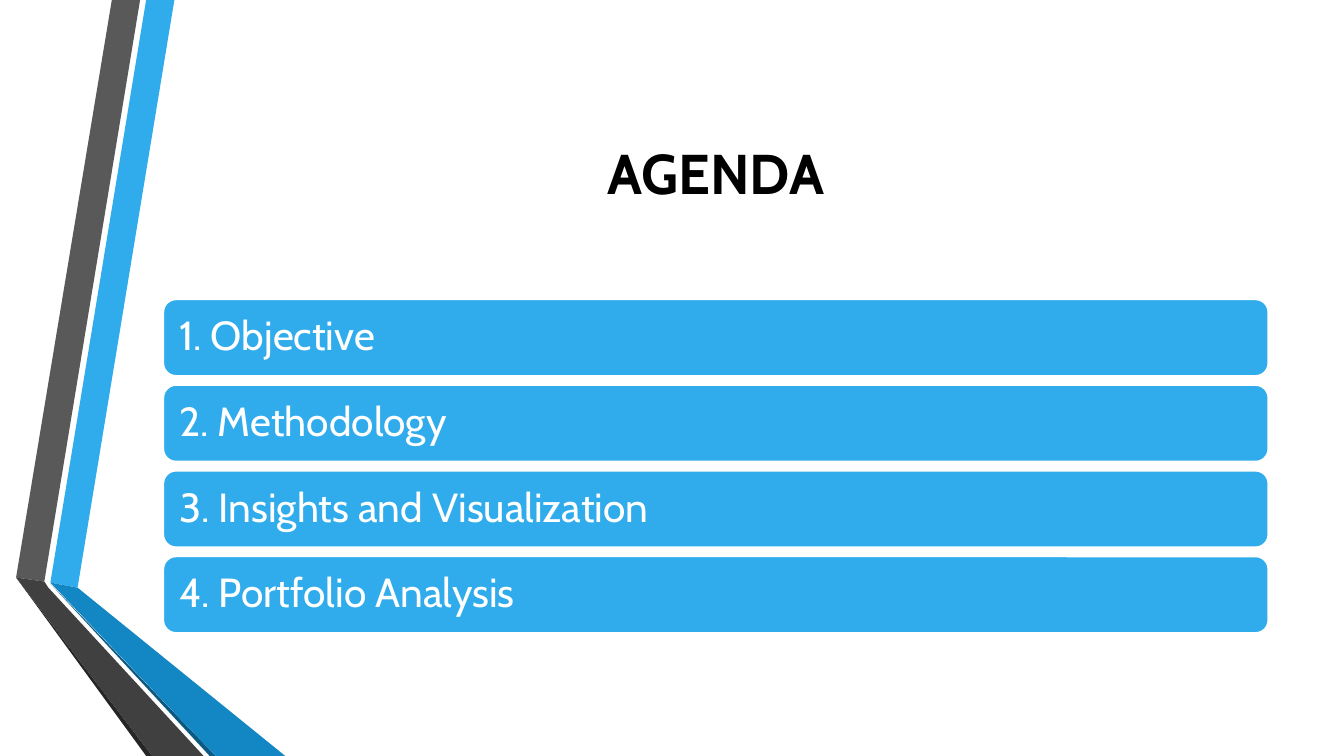
from pptx import Presentation
from pptx.dml.color import RGBColor
from pptx.enum.shapes import MSO_SHAPE
from pptx.enum.text import MSO_ANCHOR, PP_ALIGN
from pptx.util import Inches, Pt

FONT = "Cabin"
WHITE = RGBColor(0xFF, 0xFF, 0xFF)
BLACK = RGBColor(0x00, 0x00, 0x00)
BLUE = RGBColor(0x30, 0xAC, 0xEC)
BLUE_FOLD = RGBColor(0x12, 0x87, 0xC3)
BLUE_EDGE = RGBColor(0x0C, 0x5A, 0x82)
GRAY = RGBColor(0x59, 0x59, 0x59)
GRAY_FOLD = RGBColor(0x40, 0x40, 0x40)
GRAY_EDGE = RGBColor(0x26, 0x26, 0x26)

RIBBON_FACES = [
    (BLUE, [(0.34, 5.78), (0.61, 5.83), (1.57, 0), (1.29, 0)]),
    (GRAY, [(1.23, 0), (0.95, 0), (0, 5.73), (0.28, 5.77)]),
    (GRAY_EDGE, [(0, 5.73), (1.29, 7.5), (1.35, 7.5)]),
    (BLUE_EDGE, [(0.34, 5.79), (1.92, 7.5), (1.98, 7.5)]),
    (BLUE_FOLD, [(0.34, 5.78), (1.98, 7.5), (2.67, 7.5), (0.61, 5.83)]),
    (GRAY_FOLD, [(1.86, 7.5), (0.32, 5.83), (0.28, 5.77), (0, 5.73), (1.35, 7.5)]),
]
AGENDA_ITEMS = [
    "1. Objective",
    "2. Methodology",
    "3. Insights and Visualization",
    "4. Portfolio Analysis",
]


def add_run(paragraph, wording, size, color, bold=False):
    """Append a styled run to the paragraph."""
    run = paragraph.add_run()
    run.text = wording
    run.font.name = FONT
    run.font.size = Pt(size)
    run.font.color.rgb = color
    run.font.bold = bold


def add_ribbons(slide, left, top):
    """Draw the two folded ribbons from the given corner."""
    for color, outline in RIBBON_FACES:
        corners = [(Inches(left + x), Inches(top + y)) for x, y in outline]
        builder = slide.shapes.build_freeform(*corners[0])
        builder.add_line_segments(corners[1:], close=True)
        face = builder.convert_to_shape()
        face.shadow.inherit = False
        face.fill.solid()
        face.fill.fore_color.rgb = color
        face.line.fill.background()


def add_heading(slide, left, top, width, height):
    """Place the centred heading in its box."""
    heading = slide.shapes.add_textbox(
        Inches(left), Inches(top), Inches(width), Inches(height)
    )
    frame = heading.text_frame
    frame.word_wrap = True
    frame.vertical_anchor = MSO_ANCHOR.MIDDLE
    frame.paragraphs[0].alignment = PP_ALIGN.CENTER
    add_run(frame.paragraphs[0], "AGENDA", 40, BLACK, bold=True)


def add_agenda(slide, left, top, width, height, gap=0.09):
    """Stack one rounded bar per agenda item, filling the box."""
    count = len(AGENDA_ITEMS)
    bar_height = (height - gap * (count - 1)) / count
    for index, item in enumerate(AGENDA_ITEMS):
        bar = slide.shapes.add_shape(
            MSO_SHAPE.ROUNDED_RECTANGLE,
            Inches(left),
            Inches(top + index * (bar_height + gap)),
            Inches(width),
            Inches(bar_height),
        )
        bar.shadow.inherit = False
        bar.fill.solid()
        bar.fill.fore_color.rgb = BLUE
        bar.line.color.rgb = WHITE
        bar.line.width = Pt(1.25)
        frame = bar.text_frame
        frame.word_wrap = True
        frame.vertical_anchor = MSO_ANCHOR.MIDDLE
        frame.margin_left = frame.margin_right = Inches(0.12)
        frame.margin_top = frame.margin_bottom = Inches(0.12)
        paragraph = frame.paragraphs[0]
        paragraph.alignment = PP_ALIGN.LEFT
        paragraph.line_spacing = 0.9
        add_run(paragraph, item, 29, WHITE)


def main():
    """Build and save the agenda slide."""
    deck = Presentation()
    deck.slide_width = Inches(13.33)
    deck.slide_height = Inches(7.5)
    slide = deck.slides.add_slide(deck.slide_layouts[6])
    add_ribbons(slide, 0.16, 0)
    add_heading(slide, 1.62, 0.75, 10.96, 1.92)
    add_agenda(slide, 1.62, 2.97, 10.96, 3.31)
    deck.save("out.pptx")


if __name__ == "__main__":
    main()
